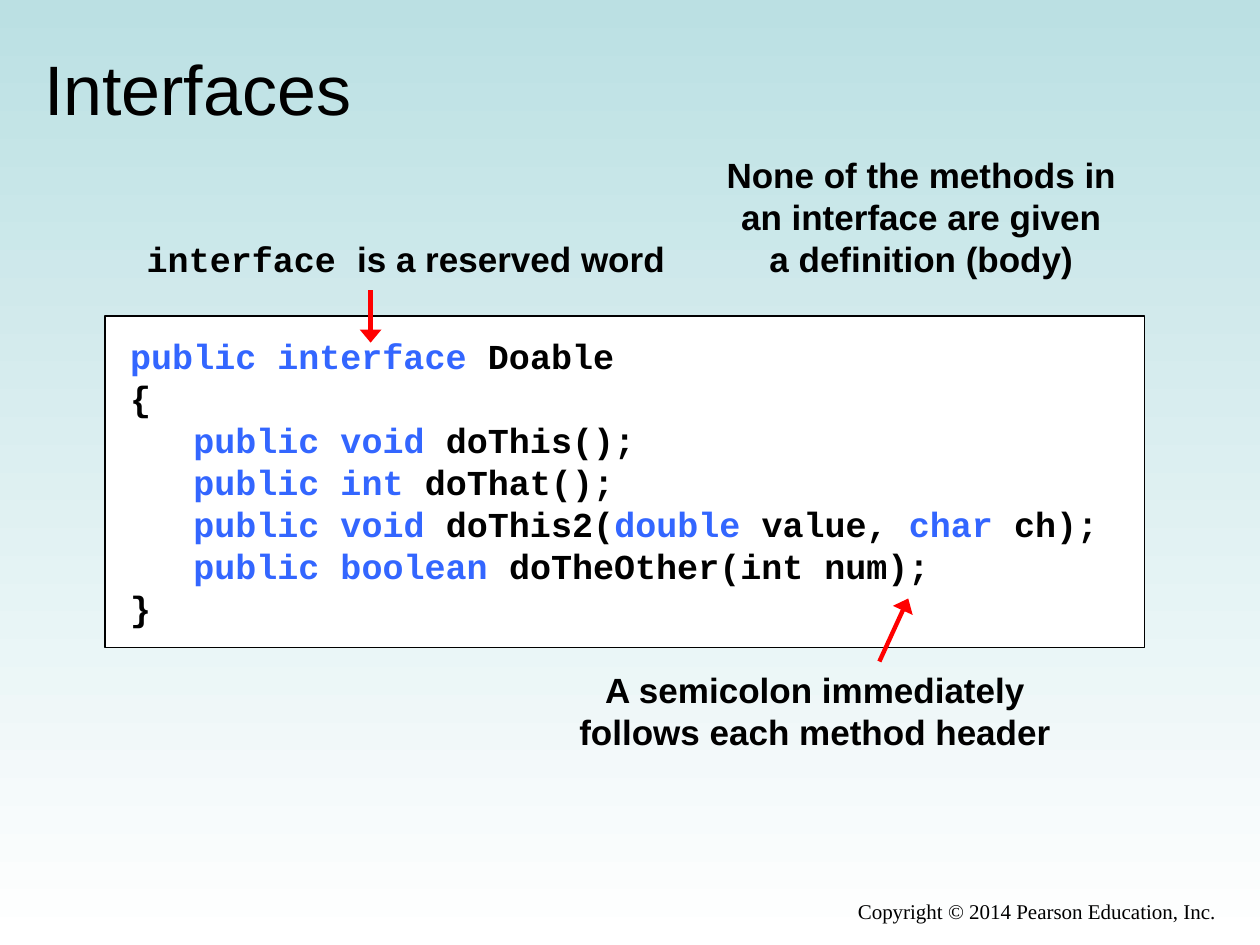
from dataclasses import dataclass

from lxml import etree
from pptx import Presentation
from pptx.dml.color import RGBColor
from pptx.enum.shapes import MSO_CONNECTOR, MSO_SHAPE
from pptx.enum.text import MSO_ANCHOR, MSO_AUTO_SIZE, PP_ALIGN
from pptx.oxml.ns import qn
from pptx.util import Pt

STRAIGHT = MSO_CONNECTOR.STRAIGHT
RECTANGLE = MSO_SHAPE.RECTANGLE
TOP, MIDDLE = MSO_ANCHOR.TOP, MSO_ANCHOR.MIDDLE
GROW, FIXED = MSO_AUTO_SIZE.SHAPE_TO_FIT_TEXT, MSO_AUTO_SIZE.NONE
LEFT, CENTER, RIGHT = PP_ALIGN.LEFT, PP_ALIGN.CENTER, PP_ALIGN.RIGHT
TITLE_ONLY_LAYOUT = 5


@dataclass(frozen=True)
class Theme:
    ink: RGBColor = RGBColor(0x00, 0x00, 0x00)
    keyword: RGBColor = RGBColor(0x33, 0x66, 0xFF)
    arrow: RGBColor = RGBColor(0xFF, 0x00, 0x00)
    paper: RGBColor = RGBColor(0xFF, 0xFF, 0xFF)
    sky: RGBColor = RGBColor(0xBB, 0xE0, 0xE3)
    sans: str = "Arial"
    mono: str = "Courier New"
    serif: str = "Times New Roman"
    title_size: int = 40
    text_size: int = 20
    footer_size: int = 12


THEME = Theme()
TITLE_FONT = {"name": THEME.sans, "size": Pt(THEME.title_size), "bold": False}
LABEL_FONT = {"name": THEME.sans, "size": Pt(THEME.text_size), "bold": True}
CODE_FONT = {**LABEL_FONT, "name": THEME.mono}
FOOTER_FONT = {"name": THEME.serif, "size": Pt(THEME.footer_size), "bold": False}

INK, KEYWORD = THEME.ink, THEME.keyword
CODE_LINES = [
    [("public interface ", KEYWORD), ("Doable", INK)],
    [("{", INK)],
    [("   ", INK), ("public void ", KEYWORD), ("doThis();", INK)],
    [("   ", INK), ("public int ", KEYWORD), ("doThat();", INK)],
    [("   ", INK), ("public void ", KEYWORD), ("doThis2(", INK),
     ("double ", KEYWORD), ("value, ", INK), ("char ", KEYWORD), ("ch);", INK)],
    [("   ", INK), ("public boolean ", KEYWORD), ("doTheOther(int num);", INK)],
    [("}", INK)],
]


def set_attributes(target, values):
    for name, value in values.items():
        setattr(target, name, value)


def points(box):
    return [Pt(length) for length in box]


def write_lines(shape, lines, alignment, frame_format):
    frame = shape.text_frame
    set_attributes(frame, frame_format)
    for index, runs in enumerate(lines):
        paragraph = frame.add_paragraph() if index else frame.paragraphs[0]
        paragraph.alignment = alignment
        for text, font_format, color in runs:
            run = paragraph.add_run()
            run.text = text
            set_attributes(run.font, font_format)
            run.font.color.rgb = color


def paint_background(slide):
    fill = slide.background.fill
    fill.gradient()
    fill.gradient_angle = 270
    for stop, color in zip(fill.gradient_stops, (THEME.sky, THEME.paper)):
        stop.color.rgb = color


def place_title(slide, box, text):
    title = slide.shapes.title
    set_attributes(title, dict(zip(("left", "top", "width", "height"), points(box))))
    write_lines(title, [[(text, TITLE_FONT, INK)]], LEFT,
                {"vertical_anchor": MIDDLE, "word_wrap": True, "auto_size": FIXED})


def add_footer(slide, box, text):
    footer = slide.shapes.add_textbox(*points(box))
    write_lines(footer, [[(text, FOOTER_FONT, INK)]], RIGHT, {"word_wrap": True})


def add_code_panel(slide, box):
    panel = slide.shapes.add_shape(RECTANGLE, *points(box))
    panel.shadow.inherit = False
    panel.fill.solid()
    panel.fill.fore_color.rgb = THEME.paper
    panel.line.color.rgb = INK
    panel.line.width = Pt(0.75)
    lines = [[(text, CODE_FONT, color) for text, color in runs] for runs in CODE_LINES]
    write_lines(panel, lines, LEFT, {
        "vertical_anchor": TOP, "word_wrap": True, "auto_size": GROW,
        "margin_left": Pt(14.4), "margin_right": Pt(14.4),
        "margin_top": Pt(10.8), "margin_bottom": Pt(10.8),
    })


def add_label(shapes, box, lines):
    label = shapes.add_textbox(*points(box))
    runs = [[(text, font, INK) for text, font in line] for line in lines]
    write_lines(label, runs, CENTER, {
        "vertical_anchor": MIDDLE, "word_wrap": False, "auto_size": GROW,
        "margin_left": Pt(0), "margin_right": Pt(0),
    })


def add_arrow(shapes, start, end):
    arrow = shapes.add_connector(STRAIGHT, *points(start + end))
    arrow.line.color.rgb = THEME.arrow
    arrow.line.width = Pt(2.5)
    etree.SubElement(arrow.line._get_or_add_ln(), qn("a:tailEnd"), type="triangle", w="lg")
    etree.SubElement(arrow._element.spPr, qn("a:effectLst"))


def add_callout(slide, box, lines, arrow_start, arrow_end):
    left, top = box[:2]
    add_label(slide.shapes, box, lines)
    start, end = [(left + x, top + y) for x, y in (arrow_start, arrow_end)]
    add_arrow(slide.shapes, start, end)


def sans_lines(*texts):
    return [[(text, LABEL_FONT)] for text in texts]


def build_interfaces_slide(presentation):
    slide = presentation.slides.add_slide(presentation.slide_layouts[TITLE_ONLY_LAYOUT])
    paint_background(slide)
    place_title(slide, (18, 22, 684, 56.2), "Interfaces")
    add_footer(slide, (264, 509.8, 438, 24.5), "Copyright © 2014 Pearson Education, Inc.")
    add_code_panel(slide, (60, 180.5, 594, 189.5))
    add_callout(slide, (324, 378, 283.5, 55.5),
                sans_lines("A semicolon immediately", "follows each method header"),
                (178.5, 0), (195, -36))
    add_label(slide.shapes, (408, 84.4, 237, 79.2),
              sans_lines("None of the methods in", "an interface are given",
                         "a definition (body)"))
    add_callout(slide, (80, 132, 304, 31.5),
                [[("interface ", CODE_FONT), ("is a reserved word", LABEL_FONT)]],
                (131.8, 33.8), (131.8, 63.8))


def main():
    presentation = Presentation()
    presentation.slide_width, presentation.slide_height = Pt(720), Pt(540)
    build_interfaces_slide(presentation)
    presentation.save("out.pptx")


if __name__ == "__main__":
    main()
